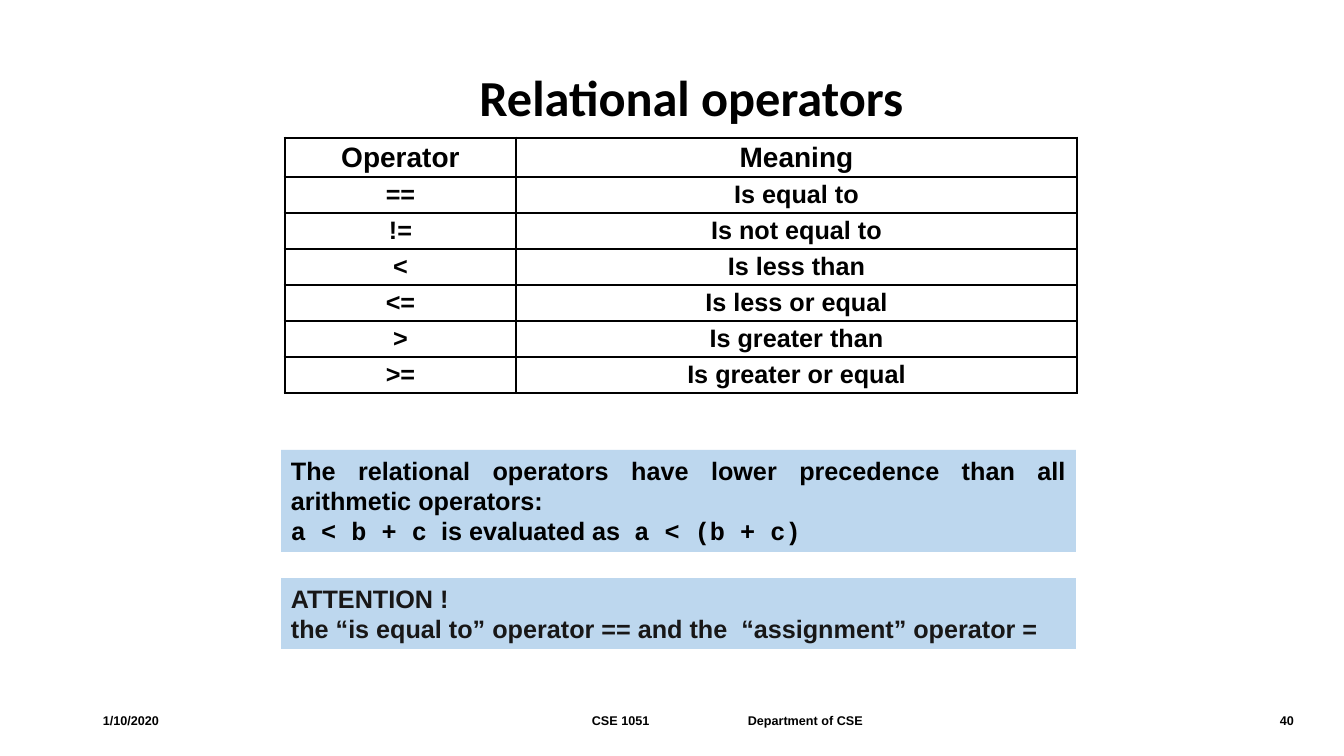
from lxml import etree
from pptx import Presentation
from pptx.dml.color import RGBColor
from pptx.enum.shapes import MSO_SHAPE
from pptx.enum.text import MSO_ANCHOR, MSO_AUTO_SIZE, PP_ALIGN
from pptx.oxml.ns import qn
from pptx.util import Pt

LEFT, MID, RIGHT, JUST = (PP_ALIGN.LEFT, PP_ALIGN.CENTER,
                          PP_ALIGN.RIGHT, PP_ALIGN.JUSTIFY)
CENTER = MSO_ANCHOR.MIDDLE
COLORS = {"ink": "000000", "dark": "181717", "note": "BDD7EE"}
CODE = "Courier New"


def px(*nums):
    """Turn pixel lengths into a list of EMU (1344 px across the slide)."""
    return [round(n * 12192000 / 1344) for n in nums]


def write(frame, *paras, size=18, font="Arial", color="ink", align=LEFT,
          anchor=None, space=None):
    """Fill a frame; a paragraph is a string or a list of (text, font)."""
    frame.word_wrap = True
    frame.auto_size = MSO_AUTO_SIZE.NONE
    if anchor is not None:
        frame.vertical_anchor = anchor
    for i, runs in enumerate(paras):
        para = frame.add_paragraph() if i else frame.paragraphs[0]
        para.alignment = align
        para.line_spacing = space
        for text, face in [(runs, font)] if isinstance(runs, str) else runs:
            run = para.add_run()
            run.text = text
            run.font.name = face
            run.font.size = Pt(size)
            run.font.bold = True
            run.font.color.rgb = RGBColor.from_string(COLORS[color])


deck = Presentation()
deck.slide_width, deck.slide_height = px(1344, 756)
slide = deck.slides.add_slide(deck.slide_layouts[5])
shapes = slide.shapes

# Title
title = shapes.title
title.left, title.top, title.width, title.height = px(395, 72, 593, 56)
write(title.text_frame, "Relational operators", size=36, font="Calibri",
      align=MID, anchor=CENTER, space=0.9)

# Operator table
rows = [
    ("Operator", "Meaning"),
    ("==", "Is equal to"),
    ("!=", "Is not equal to"),
    ("<", "Is less than"),
    ("<=", "Is less or equal"),
    (">", "Is greater than"),
    (">=", "Is greater or equal"),
]
table = shapes.add_table(len(rows), 2, *px(285, 138, 792, 255)).table
table.first_row = table.horz_banding = False
for col, width in zip(table.columns, px(231, 561)):
    col.width = width
for r, row in enumerate(rows):
    table.rows[r].height = px(36 if r else 39)[0]
    for c, text in enumerate(row):
        cell = table.cell(r, c)
        cell.margin_left, cell.margin_right = px(12, 12)
        cell.margin_top, cell.margin_bottom = px(3, 3)
        cell.vertical_anchor = CENTER
        write(cell.text_frame, text, size=18 if r else 20, align=MID)
        # Thick outer frame, thin inner lines
        outer = {"L": c == 0, "R": c == 1, "T": r == 0,
                 "B": r == len(rows) - 1}
        props = cell._tc.get_or_add_tcPr()
        for side, thick in outer.items():
            line = etree.SubElement(props, qn(f"a:ln{side}"),
                                    w=str(Pt(2.25 if thick else 1)))
            fill = etree.SubElement(line, qn("a:solidFill"))
            etree.SubElement(fill, qn("a:srgbClr"), val=COLORS["ink"])
        cell.fill.background()

# Notes
notes = [
    (450, 102, "ink", [
        "The relational operators have lower precedence than all "
        "arithmetic operators:",
        [("a < b + c", CODE), ("  is evaluated as  ", "Arial"),
         ("a < (b + c)", CODE)]]),
    (578, 71, "dark", [
        "ATTENTION !",
        "the “is equal to” operator == and the  “assignment” operator ="]),
]
for top, height, color, paras in notes:
    note = shapes.add_shape(MSO_SHAPE.RECTANGLE, *px(281, top, 795, height))
    note.shadow.inherit = False
    note.fill.solid()
    note.fill.fore_color.rgb = RGBColor.from_string(COLORS["note"])
    note.line.fill.background()
    write(note.text_frame, *paras, color=color, align=JUST,
          anchor=MSO_ANCHOR.TOP)

# Footer
footer = [
    (93, 127, "1/10/2020", LEFT),
    (582, 120, "CSE 1051", LEFT),
    (738, 200, "Department of CSE", LEFT),
    (1252, 52, "40", RIGHT),
]
for left, width, text, align in footer:
    box = shapes.add_textbox(*px(left, 701, width, 40))
    write(box.text_frame, text, size=9, align=align, anchor=CENTER)

deck.save("out.pptx")
